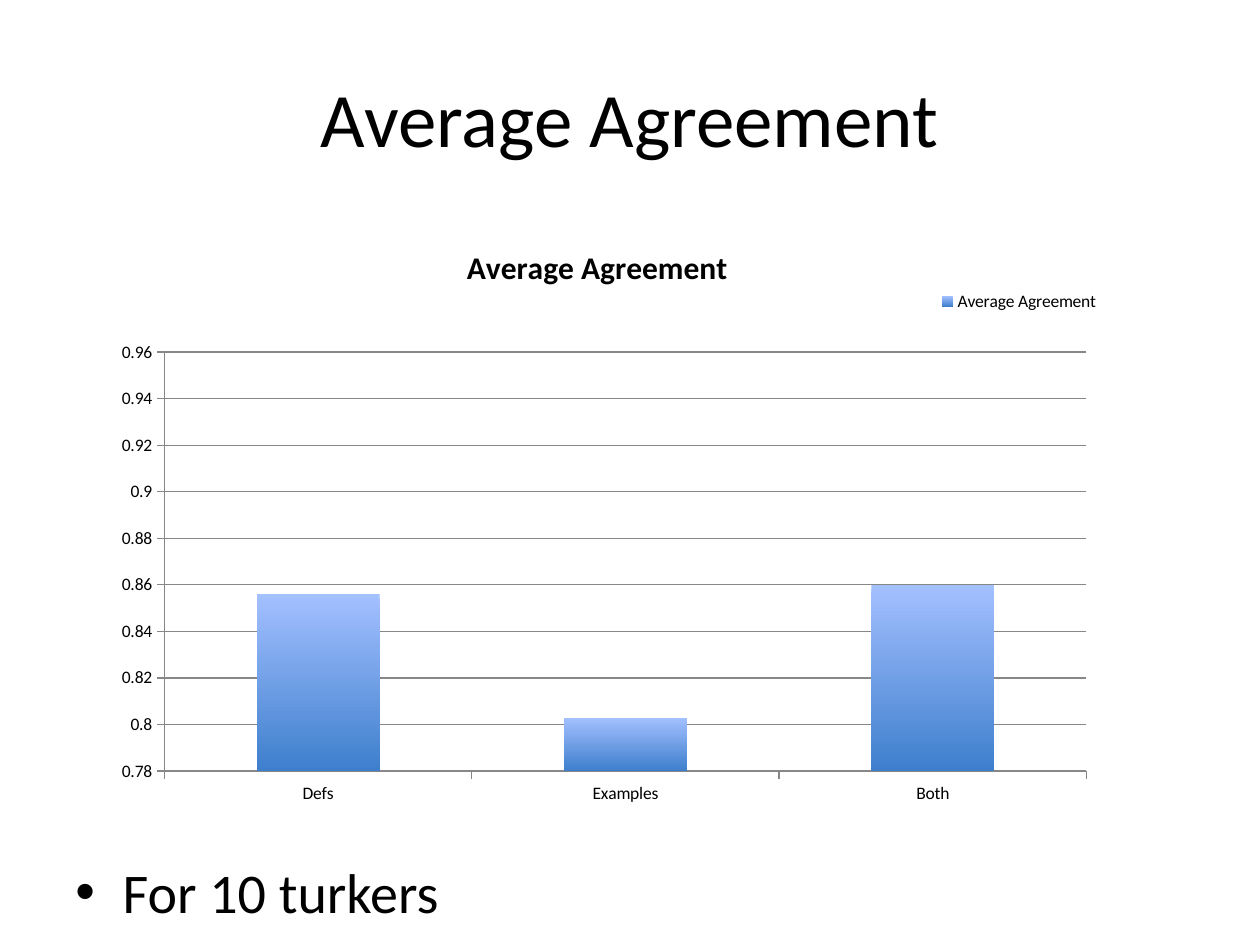
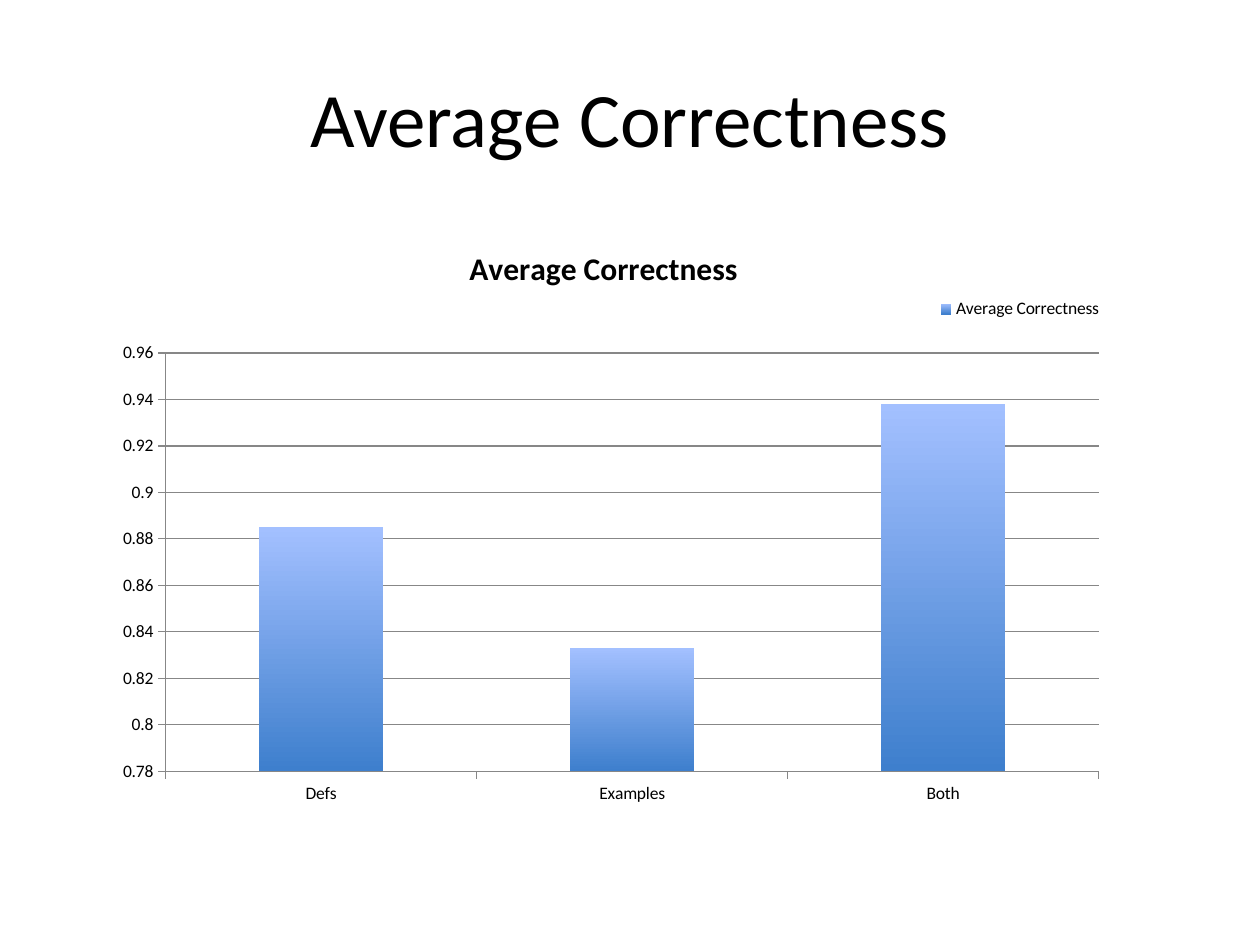
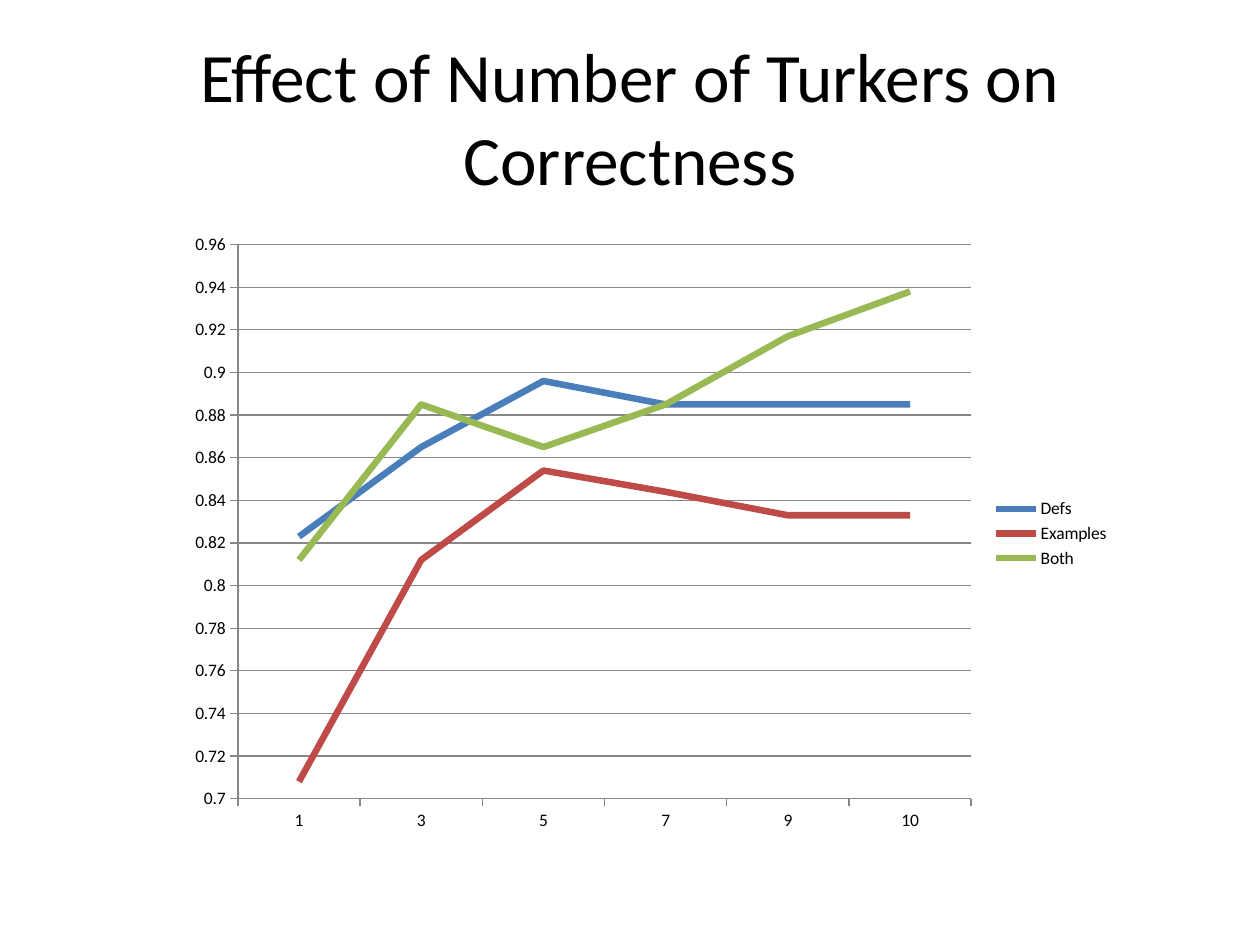
from dataclasses import dataclass

from lxml.etree import SubElement
from pptx import Presentation
from pptx.chart.data import CategoryChartData
from pptx.dml.color import RGBColor
from pptx.enum.chart import XL_CHART_TYPE, XL_LEGEND_POSITION, XL_TICK_MARK
from pptx.enum.text import MSO_ANCHOR, PP_ALIGN
from pptx.oxml import parse_xml
from pptx.oxml.ns import nsdecls, qn
from pptx.util import Pt


@dataclass(frozen=True)
class Theme:
    font: str = "Calibri"
    ink: str = "000000"
    rule: str = "878787"
    fade: tuple = ("A3C0FF", "3E7FCD")
    lines: tuple = ("4A7EBB", "BE4B48", "98B954")
    title: float = 44
    tight: float = 39.6
    body: float = 32
    head: float = 18
    label: float = 10


THEME = Theme()
GROUPS = ("Defs", "Examples", "Both")


def color(code):
    return RGBColor.from_string(code)


def style(font, size, bold=False):
    font.name = THEME.font
    font.size = Pt(size)
    font.bold = bold
    font.color.rgb = color(THEME.ink)


def add_text(slide, text, box, size):
    frame = slide.shapes.add_textbox(*map(Pt, box)).text_frame
    frame.word_wrap = True
    line = frame.paragraphs[0]
    run = line.add_run()
    run.text = text
    style(run.font, size)
    return frame, line


def add_title(slide, text, size=THEME.title):
    frame, line = add_text(slide, text, (36, 21.6, 648, 90), size)
    frame.vertical_anchor = MSO_ANCHOR.MIDDLE
    line.alignment = PP_ALIGN.CENTER


def add_bullet(slide, text, box):
    line = add_text(slide, text, box, THEME.body)[1]
    props = line._p.get_or_add_pPr()
    props.set("marL", str(Pt(27)))
    props.set("indent", str(-Pt(27)))
    SubElement(props, qn("a:buFont")).set("typeface", "Arial")
    SubElement(props, qn("a:buChar")).set("char", "•")


def place(node, index, area, inner=False):
    for old in node.findall(qn("c:layout")):
        node.remove(old)
    target = '<c:layoutTarget val="inner"/>' if inner else ""
    modes = "".join(f'<c:{k}Mode val="edge"/>' for k in "xy")
    sizes = "".join(f'<c:{k} val="{v}"/>' for k, v in zip("xywh", area))
    node.insert(index, parse_xml(
        f'<c:layout {nsdecls("c")}><c:manualLayout>{target}{modes}{sizes}'
        "</c:manualLayout></c:layout>"))


def rule(form):
    form.line.color.rgb = color(THEME.rule)
    form.line.width = Pt(0.75)


def add_chart(slide, kind, box, cats, rows, low, area):
    data = CategoryChartData()
    data.categories = cats
    for name, vals in rows:
        data.add_series(name, vals)
    chart = slide.shapes.add_chart(kind, *map(Pt, box), data).chart
    style(chart.font, THEME.label)
    chart.has_title = False
    chart.plots[0].vary_by_categories = False
    for axis in (chart.category_axis, chart.value_axis):
        axis.major_tick_mark = XL_TICK_MARK.OUTSIDE
        axis.minor_tick_mark = XL_TICK_MARK.NONE
        rule(axis.format)
    scale = chart.value_axis
    scale.minimum_scale, scale.maximum_scale = low, 0.96
    scale.major_unit = 0.02
    scale.has_major_gridlines = True
    rule(scale.major_gridlines.format)
    chart.has_legend = True
    chart.legend.position = XL_LEGEND_POSITION.RIGHT
    chart.legend.include_in_layout = False
    style(chart.legend.font, THEME.label)
    place(chart._chartSpace.chart.plotArea, 0, area, True)
    return chart


def add_bars(slide, name, vals, box, key):
    chart = add_chart(slide, XL_CHART_TYPE.COLUMN_CLUSTERED, box, GROUPS,
                      [(name, vals)], 0.78, (0.095, 0.211, 0.863, 0.672))
    chart.has_title = True
    run = chart.chart_title.text_frame.paragraphs[0].add_run()
    run.text = name
    style(run.font, THEME.head, True)
    chart.chart_title.include_in_layout = False
    place(chart.legend._element, 1, key)
    plot = chart.plots[0]
    plot.gap_width = 150
    fill = plot.series[0].format.fill
    fill.gradient()
    fill.gradient_angle = 270
    for stop, code in zip(fill.gradient_stops, THEME.fade):
        stop.color.rgb = color(code)


def add_lines(slide, cats, rows, box):
    chart = add_chart(slide, XL_CHART_TYPE.LINE, box, cats, rows, 0.7,
                      (0.065, 0.035, 0.775, 0.892))
    for series, code in zip(chart.plots[0].series, THEME.lines):
        series.smooth = False
        series.format.line.color.rgb = color(code)
        series.format.line.width = Pt(3.75)


def main():
    deck = Presentation()
    deck.slide_width, deck.slide_height = Pt(720), Pt(540)
    first, second, third = (
        deck.slides.add_slide(deck.slide_layouts[6]) for _ in range(3))

    name = "Average Agreement"
    add_title(first, name)
    add_bullet(first, "For 10 turkers", (36, 486.5, 648, 48))
    add_bars(first, name, (0.856, 0.803, 0.86), (36, 126, 610.5, 356.4),
             (0.81, 0.11, 0.17, 0.04))

    name = "Average Correctness"
    add_title(second, name)
    add_bars(second, name, (0.885, 0.833, 0.938), (36, 126.7, 617.8, 355.7),
             (0.8, 0.12, 0.17, 0.04))

    add_title(third, "Effect of Number of Turkers on Correctness", THEME.tight)
    rates = (
        (0.823, 0.865, 0.896, 0.885, 0.885, 0.885),
        (0.708, 0.812, 0.854, 0.844, 0.833, 0.833),
        (0.812, 0.885, 0.865, 0.885, 0.917, 0.938),
    )
    add_lines(third, ("1", "3", "5", "7", "9", "10"), zip(GROUPS, rates),
              (100.8, 127.4, 540.7, 355))
    deck.save("out.pptx")


if __name__ == "__main__":
    main()
